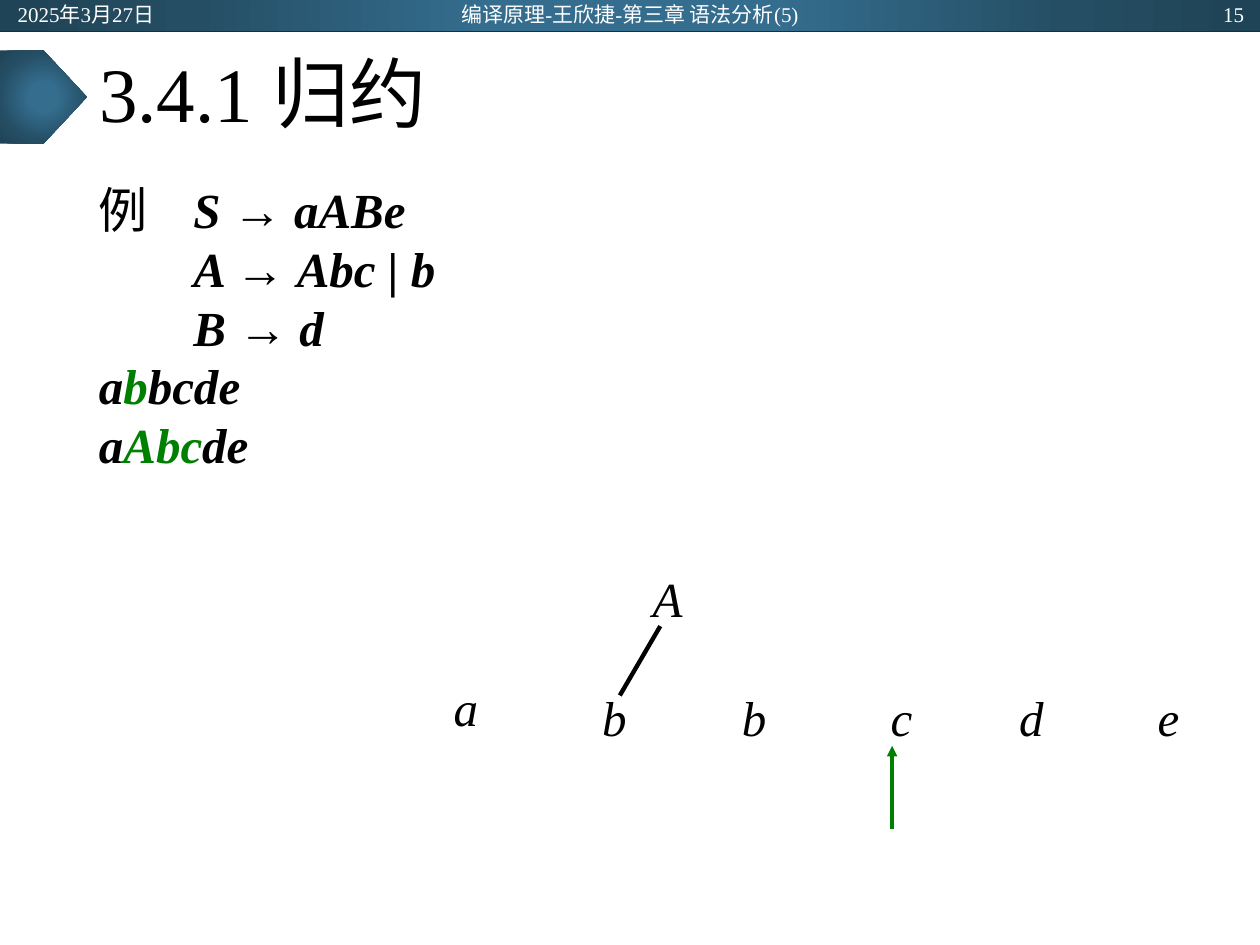
"""Build the slide on reduction in syntax analysis."""
from dataclasses import dataclass

from lxml import etree
from pptx import Presentation
from pptx.dml.color import RGBColor
from pptx.enum.shapes import MSO_CONNECTOR, MSO_SHAPE
from pptx.enum.text import MSO_ANCHOR, MSO_AUTO_SIZE, PP_ALIGN
from pptx.oxml.ns import qn
from pptx.util import Pt

LEFT, MID, RIGHT, JUST = (
    PP_ALIGN.LEFT, PP_ALIGN.CENTER, PP_ALIGN.RIGHT, PP_ALIGN.JUSTIFY)
TOP, CORE = MSO_ANCHOR.TOP, MSO_ANCHOR.MIDDLE
LINE = MSO_CONNECTOR.STRAIGHT
RECT, PLATE = MSO_SHAPE.RECTANGLE, MSO_SHAPE.PENTAGON
FIXED = MSO_AUTO_SIZE.NONE


@dataclass(frozen=True)
class Theme:
    """Hold the font, colours and sizes."""
    font: str = "Times New Roman"
    ink: str = "000000"
    mark: str = "008000"
    pale: str = "FFFFFF"
    rule: str = "222A35"
    glow: tuple = ((0, "346D8E"), (23, "346D8E"), (69, "254E64"), (97, "204457"))
    head: int = 44
    body: int = 28
    note: int = 12
    lead: float = 33.6


THEME = Theme()
HEADS = (
    (3, 162, LEFT, "2025年3月27日"),
    (238, 244, MID, "编译原理-王欣捷-第三章 语法分析(5)"),
    (556, 162, RIGHT, "15"),
)
BOLD = {"bold": True, "italic": True}
FLAT = {"bold": True, "italic": False}
GREEN = {**BOLD, "color": THEME.mark}
RULES = (("例\t", "S", "aABe"), ("\t\t", "A", "Abc | b"), ("\t\t", "B", "d"))
FORMS = (("a", "b", "bcde"), ("a", "Abc", "de"))
NODES = (
    ("a", 257.8, 386.6), ("b", 342.7, 392.4), ("b", 422.6, 392.4),
    ("c", 507.6, 392.4), ("d", 581, 392.4), ("e", 660.2, 392.4),
    ("A", 371.5, 324),
)


def style(font, size, color=THEME.ink, bold=False, italic=False):
    """Format one font."""
    font.name, font.size = THEME.font, Pt(size)
    font.bold, font.italic = bold, italic
    font.color.rgb = RGBColor.from_string(color)


def write(shape, paras, size, align=LEFT, anchor=TOP, inset=(7.2, 3.6),
          lead=None, hang=0, **form):
    """Fill a shape with paragraphs, each a list of (text, format) runs."""
    frame = shape.text_frame
    frame.word_wrap, frame.auto_size = True, FIXED
    frame.vertical_anchor = anchor
    frame.margin_left = frame.margin_right = Pt(inset[0])
    frame.margin_top = frame.margin_bottom = Pt(inset[1])
    for num, runs in enumerate(paras):
        para = frame.add_paragraph() if num else frame.paragraphs[0]
        para.alignment = align
        para.space_before = Pt(0)
        if lead:
            para.line_spacing = lead
        if hang:
            props = para._p.get_or_add_pPr()
            props.set("marL", str(Pt(hang)))
            props.set("indent", str(-Pt(hang)))
        for text, extra in runs:
            run = para.add_run()
            run.text = text
            style(run.font, size, **{**form, **extra})


def label(slide, text, left, top, wide, high, size, **form):
    """Add a text box with one line of text."""
    box = slide.shapes.add_textbox(Pt(left), Pt(top), Pt(wide), Pt(high))
    write(box, [[(text, {})]], size, **form)


def glow(slide, kind, top, wide, high):
    """Add a shape at the left edge with a round gradient."""
    shape = slide.shapes.add_shape(kind, 0, Pt(top), Pt(wide), Pt(high))
    shape.shadow.inherit = False
    shape.line.fill.background()
    shape.fill.gradient()
    grad = shape._element.spPr.find(qn("a:gradFill"))
    for child in list(grad):
        grad.remove(child)
    stops = etree.SubElement(grad, qn("a:gsLst"))
    for pos, color in THEME.glow:
        stop = etree.SubElement(stops, qn("a:gs"), pos=str(pos * 1000))
        etree.SubElement(stop, qn("a:srgbClr"), val=color)
    way = etree.SubElement(grad, qn("a:path"), path="circle")
    sides = dict.fromkeys("ltrb", "50000")
    etree.SubElement(way, qn("a:fillToRect"), **sides)


def line(slide, start, end, color, width, arrow=False):
    """Draw a straight line, with an arrowhead at its end if asked."""
    link = slide.shapes.add_connector(LINE, *map(Pt, start + end))
    link.line.color.rgb = RGBColor.from_string(color)
    link.line.width = Pt(width)
    if arrow:
        etree.SubElement(link.line._get_or_add_ln(), qn("a:tailEnd"),
                         type="triangle")
    etree.SubElement(link._element.spPr, qn("a:effectLst"))


def title(slide, text):
    """Place and fill the title."""
    head = slide.shapes.title
    head.left, head.top, head.width, head.height = map(
        Pt, (49.5, 18, 621, 75))
    write(head, [[(text, {})]], THEME.head, anchor=CORE, lead=0.9)


def grammar(slide):
    """Add the grammar rules and the reduced strings."""
    paras = [[(lead, {}), (left + " ", BOLD), ("→ ", FLAT), (right, BOLD)]
             for lead, left, right in RULES]
    paras += [[(pre, BOLD), (core, GREEN), (post, BOLD)]
              for pre, core, post in FORMS]
    box = slide.shapes.add_textbox(Pt(49.5), Pt(99), Pt(621), Pt(387))
    write(box, paras, THEME.body, lead=Pt(THEME.lead), hang=18)


def tree(slide):
    """Add the parse tree and the arrow for the reading point."""
    for name, left, top in NODES:
        label(slide, name, left, top, 36, 38, THEME.body, align=JUST,
              inset=(1.4, 0.7), italic=True)
    line(slide, (354.2, 397.4), (377.3, 357.8), THEME.ink, 2.5)
    line(slide, (509.8, 473.8), (509.8, 426.2), THEME.mark, 2, arrow=True)


def main():
    """Build and save the slide."""
    deck = Presentation()
    deck.slide_width, deck.slide_height = Pt(720), Pt(540)
    slide = deck.slides.add_slide(deck.slide_layouts[5])
    glow(slide, RECT, 0, 720, 18)
    line(slide, (0, 18), (720, 18), THEME.rule, 0.5)
    glow(slide, PLATE, 28.8, 49.7, 53.3)
    title(slide, "3.4.1 归约")
    grammar(slide)
    tree(slide)
    for left, wide, align, text in HEADS:
        label(slide, text, left, 0.7, wide, 14.4, THEME.note, align=align,
              anchor=CORE, color=THEME.pale)
    deck.save("out.pptx")


if __name__ == "__main__":
    main()
